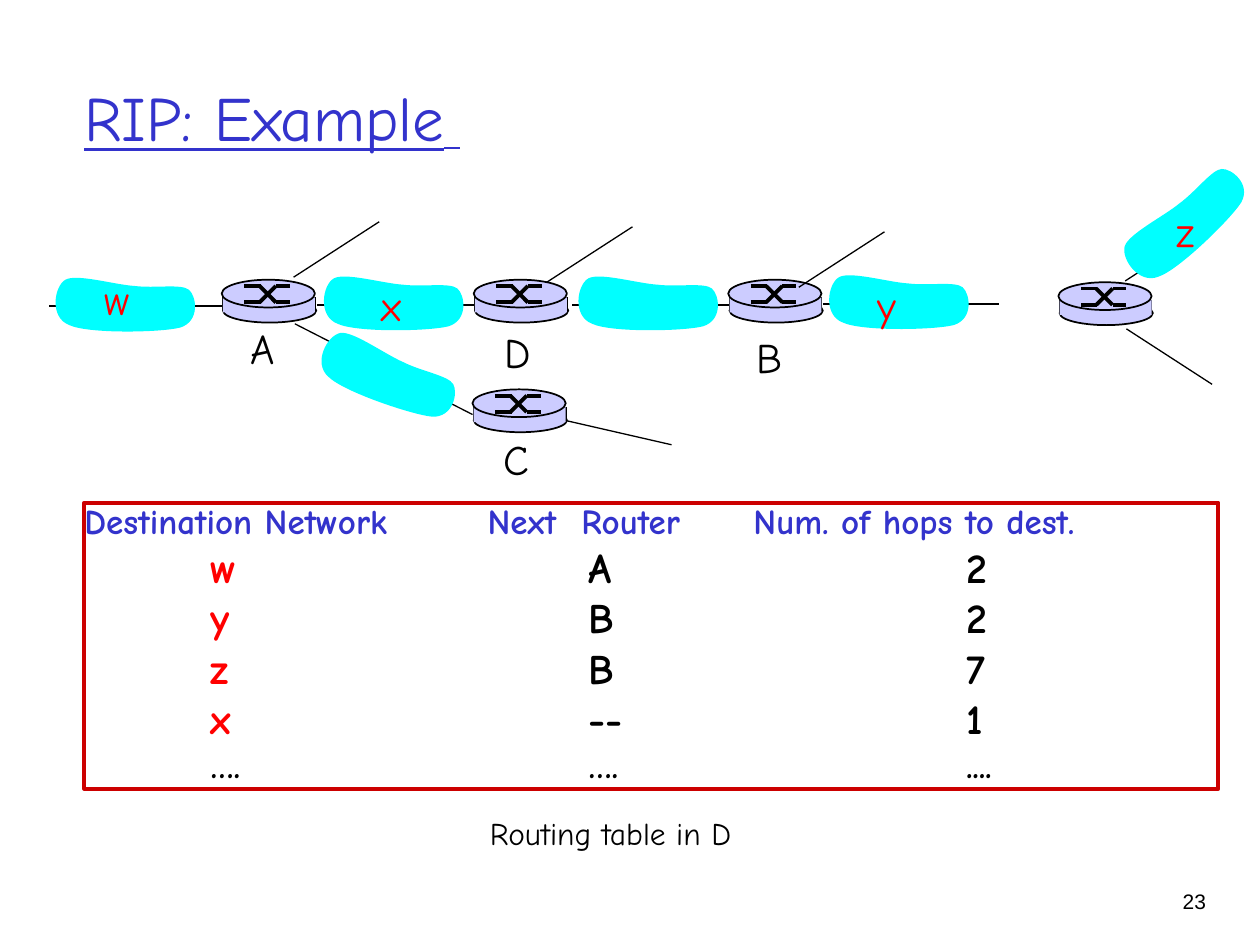
import pptx
import pptx.util
import pptx.dml.color
import pptx.enum.shapes
import pptx.enum.text
import pptx.oxml.ns
import lxml.etree

Inches = pptx.util.Inches
Pt = pptx.util.Pt
RGBColor = pptx.dml.color.RGBColor
SHAPE = pptx.enum.shapes.MSO_SHAPE
ALIGN = pptx.enum.text.PP_ALIGN
ANCHOR = pptx.enum.text.MSO_ANCHOR
qn = pptx.oxml.ns.qn

BLACK = RGBColor(0x00, 0x00, 0x00)
BLUE = RGBColor(0x33, 0x33, 0xCC)
RED = RGBColor(0xFF, 0x00, 0x00)
FRAME_RED = RGBColor(0xCC, 0x00, 0x00)
CYAN = RGBColor(0x00, 0xFF, 0xFF)
LAVENDER = RGBColor(0xCC, 0xCC, 0xFF)
FONT = "Comic Neue"

NETWORK_OUTLINE = [
    (0.68, 0.10), (0.52, 0.09), (0.22, 0), (0.13, 0.05),
    (0.04, 0.10), (0, 0.35), (0.16, 0.41),
    (0.31, 0.48), (0.88, 0.47), (1.04, 0.43),
    (1.20, 0.38), (1.17, 0.18), (1.11, 0.13),
    (1.05, 0.08), (0.84, 0.12), (0.68, 0.10),
]
CROSSING_STROKES = [
    (0.18, 0.05, 0.31, 0.05), (0.43, 0.18, 0.54, 0.18), (0.30, 0.05, 0.43, 0.18),
    (0.18, 0.18, 0.31, 0.18), (0.43, 0.05, 0.54, 0.05), (0.30, 0.18, 0.43, 0.05),
]

WIRES = [(0, 0.93), (2.13, 0.92), (4.15, 0.92), (6.14, 0.91)]
ROUTERS = [(3.37, 0.72), (1.37, 0.72), (3.36, 1.59), (5.39, 0.72), (8.01, 0.74)]
UPWARD_LINKS = [(1.94, 0.70), (3.95, 0.74), (5.95, 0.78), (8.54, 0.73)]
DOWNWARD_LINKS = [(8.55, 1.11, 9.23, 1.55), (1.95, 1.07, 3.36, 1.79), (4.11, 1.84, 4.94, 2.03)]
TILTED_NETWORKS = [(2.09, 1.24, 19.7), (8.41, 0.03, 316.8)]
NETWORK_NAMES = [("w", 0.34, 0.62), ("x", 2.54, 0.67), ("y", 6.48, 0.67), ("z", 8.85, 0.08)]
ROUTER_NAMES = [("A", 1.50, 1.01), ("C", 3.51, 1.89), ("D", 3.52, 1.04), ("B", 5.52, 1.08)]

HEADINGS = ["Destination Network", "Next  Router", "Num. of hops to dest."]
ROUTES = [("w", "A", "2"), ("y", "B", "2"), ("z", "B", "7"), ("x", "--", "1"), ("….", "….", "....")]
COLUMN_WIDTHS = [3.2, 2.11, 3.69]
BODY_INDENTS = [1.0, 0.8, 1.69]
ROW_HEIGHTS = [0.34, 0.4, 0.4, 0.4, 0.4, 0.33]


def add_run(paragraph, text, size, color, font=FONT, bold=None):
    run = paragraph.add_run()
    run.text = text
    run.font.name = font
    run.font.size = Pt(size)
    run.font.color.rgb = color
    run.font.bold = bold
    return run


def add_label(slide, text, left, top, width, height, size, color):
    label = slide.shapes.add_textbox(left, top, width, height)
    label.text_frame.word_wrap = False
    add_run(label.text_frame.paragraphs[0], text, size, color)


def add_line(shapes, left, top, ends, weight):
    x1, y1, x2, y2 = [Inches(value) for value in ends]
    line = shapes.add_connector(pptx.enum.shapes.MSO_CONNECTOR.STRAIGHT,
                                left + x1, top + y1, left + x2, top + y2)
    line.line.color.rgb = BLACK
    line.line.width = Pt(weight)
    lxml.etree.SubElement(line._element.spPr, qn("a:effectLst"))


def add_body_part(shapes, kind, left, top, box, outlined):
    x, y, width, height = [Inches(value) for value in box]
    part = shapes.add_shape(kind, left + x, top + y, width, height)
    part.shadow.inherit = False
    part.fill.solid()
    part.fill.fore_color.rgb = LAVENDER
    if outlined:
        part.line.color.rgb = BLACK
        part.line.width = Pt(1)
    else:
        part.line.fill.background()


def add_router(slide, left, top):
    shapes = slide.shapes.add_group_shape().shapes
    add_body_part(shapes, SHAPE.OVAL, left, top, (0.01, 0.15, 0.74, 0.19), True)
    for side in (0.01, 0.74):
        add_line(shapes, left, top, (side, 0.14, side, 0.25), 1)
    add_body_part(shapes, SHAPE.RECTANGLE, left, top, (0.01, 0.14, 0.73, 0.12), False)
    add_body_part(shapes, SHAPE.OVAL, left, top, (0, 0, 0.74, 0.22), True)
    for stroke in CROSSING_STROKES:
        add_line(shapes, left, top, stroke, 2.25)


def add_network(slide, left, top, rotation=0):
    points = [(left + Inches(x), top + Inches(y)) for x, y in NETWORK_OUTLINE]
    builder = slide.shapes.build_freeform(*points[0])
    builder.add_line_segments(points[1:], close=True)
    network = builder.convert_to_shape()
    outline = network._element.find(".//" + qn("a:path"))
    segments = outline.findall(qn("a:lnTo"))
    closing = outline.find(qn("a:close"))
    for first in range(0, len(NETWORK_OUTLINE) - 1, 3):
        curve = lxml.etree.SubElement(outline, qn("a:cubicBezTo"))
        for segment in segments[first:first + 3]:
            curve.append(segment[0])
    for segment in segments:
        outline.remove(segment)
    outline.append(closing)
    network.rotation = rotation
    network.shadow.inherit = False
    network.fill.solid()
    network.fill.fore_color.rgb = CYAN
    network.line.fill.background()


def add_topology(slide, left, top):
    for x, y in WIRES:
        add_line(slide.shapes, left, top, (x, y, x + 1.4, y), 1)
    for x, y in ROUTERS:
        add_router(slide, left + Inches(x), top + Inches(y))
    for x, y in UPWARD_LINKS:
        add_line(slide.shapes, left, top, (x, y, x + 0.68, y - 0.44), 0.75)
    for link in DOWNWARD_LINKS:
        add_line(slide.shapes, left, top, link, 0.75)
    for x, y in WIRES:
        add_network(slide, left + Inches(x), top + Inches(y - 0.26))
    for x, y, rotation in TILTED_NETWORKS:
        add_network(slide, left + Inches(x), top + Inches(y), rotation)
    for names, color, width in ((NETWORK_NAMES, RED, 0.36), (ROUTER_NAMES, BLACK, 0.4)):
        for name, x, y in names:
            add_label(slide, name, left + Inches(x), top + Inches(y),
                      Inches(width), Inches(0.5), 24, color)


def add_routing_table(slide, left, top, width, height):
    table = slide.shapes.add_table(len(ROW_HEIGHTS), len(HEADINGS), left, top, width, height).table
    table.first_row = False
    table.horz_banding = False
    for column, column_width in zip(table.columns, COLUMN_WIDTHS):
        column.width = Inches(column_width)
    for row, row_height in zip(table.rows, ROW_HEIGHTS):
        row.height = Inches(row_height)
    for row_index, texts in enumerate([HEADINGS] + ROUTES):
        is_heading = row_index == 0
        is_last = row_index == len(ROUTES)
        for column_index, text in enumerate(texts):
            cell = table.cell(row_index, column_index)
            cell.fill.background()
            cell.margin_left = Inches(0 if is_heading else BODY_INDENTS[column_index])
            cell.margin_right = cell.margin_top = cell.margin_bottom = Inches(0)
            color = BLACK
            if is_heading:
                color = BLUE
            elif column_index == 0 and not is_last:
                color = RED
            size = 20 if is_heading or is_last else 24
            add_run(cell.text_frame.paragraphs[0], text, size, color, bold=True)

    frame = slide.shapes.add_shape(SHAPE.RECTANGLE, left, top, width, height)
    frame.shadow.inherit = False
    frame.fill.background()
    frame.line.color.rgb = FRAME_RED
    frame.line.width = Pt(2.25)


def format_title(slide, left, top, width, height):
    title = slide.shapes.title
    title.left, title.top, title.width, title.height = left, top, width, height
    title.text_frame.vertical_anchor = ANCHOR.MIDDLE
    paragraph = title.text_frame.paragraphs[0]
    paragraph.alignment = ALIGN.LEFT
    for text, size in (("RIP: Example", 36), (" ", 28)):
        add_run(paragraph, text, size, BLUE).font.underline = True


def add_page_number(slide, left, top, width, height):
    number = slide.shapes.add_textbox(left, top, width, height)
    number.text_frame.word_wrap = True
    paragraph = number.text_frame.paragraphs[0]
    paragraph.alignment = ALIGN.RIGHT
    add_run(paragraph, "23", 12, BLACK, font="Arial")


def main():
    deck = pptx.Presentation()
    deck.slide_width = Inches(10)
    deck.slide_height = Inches(7.5)
    slide = deck.slides.add_slide(deck.slide_layouts[5])
    format_title(slide, Inches(0.57), Inches(0.3), Inches(8.5), Inches(1.25))
    add_topology(slide, Inches(0.39), Inches(1.5))
    add_routing_table(slide, Inches(0.67), Inches(3.99), Inches(9), Inches(2.27))
    add_label(slide, "Routing table in D", Inches(3.79), Inches(6.41),
              Inches(2.12), Inches(0.4), 18, BLACK)
    add_page_number(slide, Inches(8.93), Inches(7), Inches(0.74), Inches(0.5))
    deck.save("out.pptx")


if __name__ == "__main__":
    main()
